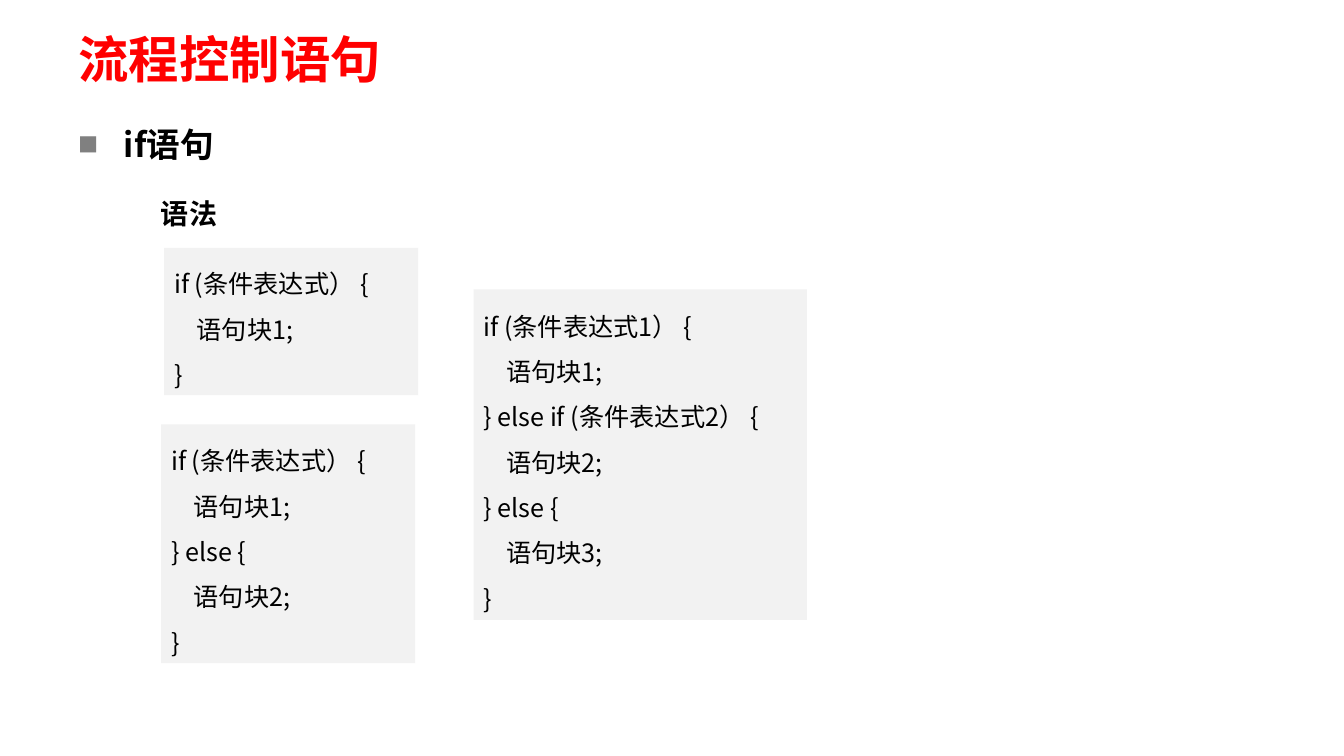
from lxml import etree
from pptx import Presentation
from pptx.dml.color import RGBColor
from pptx.enum.shapes import MSO_SHAPE
from pptx.enum.text import MSO_ANCHOR, PP_ALIGN
from pptx.oxml.ns import qn
from pptx.util import Inches, Pt

RECTANGLE = MSO_SHAPE.RECTANGLE
LEFT = PP_ALIGN.LEFT
TOP, MIDDLE = MSO_ANCHOR.TOP, MSO_ANCHOR.MIDDLE

FONT = "Noto Sans CJK SC"
COLORS = {"title": "FF0000", "text": "000000", "bullet": "808080", "code": "F2F2F2"}

# left, top, width, height, lines
CODE_BLOCKS = [
    (1.63, 2.46, 2.52, 1.46, ["if (条件表达式） {", "    语句块1;", "}"]),
    (1.6, 4.21, 2.52, 2.37,
     ["if (条件表达式） {", "    语句块1;", "} else {", "    语句块2;", "}"]),
    (4.7, 2.87, 3.31, 3.28,
     ["if (条件表达式1） {", "    语句块1;", "} else if (条件表达式2） {",
      "    语句块2;", "} else {", "    语句块3;", "}"]),
]


def write_text(paragraph, text, *, size, color="text", bold=False, line_spacing=None):
    paragraph.alignment = LEFT
    if line_spacing:
        paragraph.line_spacing = line_spacing
    run = paragraph.add_run()
    run.text = text
    run.font.size = Pt(size)
    run.font.bold = bold
    run.font.color.rgb = RGBColor.from_string(COLORS[color])
    run.font.name = FONT
    east_asian = etree.SubElement(run.font._element, qn("a:ea"))
    east_asian.set("typeface", FONT)


def add_square_bullet(paragraph, indent):
    properties = paragraph._p.get_or_add_pPr()
    properties.set("marL", str(Inches(indent)))
    properties.set("indent", str(-Inches(indent)))
    color = etree.SubElement(properties, qn("a:buClr"))
    etree.SubElement(color, qn("a:srgbClr")).set("val", COLORS["bullet"])
    etree.SubElement(properties, qn("a:buSzPct")).set("val", "60000")
    etree.SubElement(properties, qn("a:buFont")).set("typeface", FONT)
    etree.SubElement(properties, qn("a:buChar")).set("char", "■")


class SlideBuilder:
    def __init__(self, slide):
        self.slide = slide

    def heading(self, left, top, width, height, text, *, anchor=MIDDLE,
                margins=(0.13, 0.07), wrap=True, bullet_indent=None, **style):
        box = self.slide.shapes.add_textbox(
            Inches(left), Inches(top), Inches(width), Inches(height))
        frame = box.text_frame
        frame.word_wrap = wrap
        frame.vertical_anchor = anchor
        frame.margin_left = frame.margin_right = Inches(margins[0])
        frame.margin_top = frame.margin_bottom = Inches(margins[1])
        paragraph = frame.paragraphs[0]
        if bullet_indent:
            add_square_bullet(paragraph, bullet_indent)
        write_text(paragraph, text, bold=True, **style)

    def code_block(self, left, top, width, height, lines):
        shape = self.slide.shapes.add_shape(
            RECTANGLE, Inches(left), Inches(top), Inches(width), Inches(height))
        shape.shadow.inherit = False
        shape.fill.solid()
        shape.fill.fore_color.rgb = RGBColor.from_string(COLORS["code"])
        shape.line.fill.background()
        frame = shape.text_frame
        frame.word_wrap = True
        frame.vertical_anchor = MIDDLE
        for index, line in enumerate(lines):
            paragraph = frame.add_paragraph() if index else frame.paragraphs[0]
            write_text(paragraph, line, size=18, line_spacing=1.5)


def main():
    presentation = Presentation()
    presentation.slide_width = Inches(13.34)
    presentation.slide_height = Inches(7.5)
    builder = SlideBuilder(presentation.slides.add_slide(presentation.slide_layouts[6]))

    builder.heading(0.65, 0.28, 12.13, 0.59, "流程控制语句", size=36, color="title")
    builder.heading(0.65, 0.99, 12.13, 0.71, "if语句", size=24,
                    line_spacing=1.4, bullet_indent=0.45)
    for block in CODE_BLOCKS:
        builder.code_block(*block)
    builder.heading(1.5, 1.9, 0.76, 0.44, "语法", size=20,
                    anchor=TOP, margins=(0.1, 0.05), wrap=False)

    presentation.save("out.pptx")


if __name__ == "__main__":
    main()
